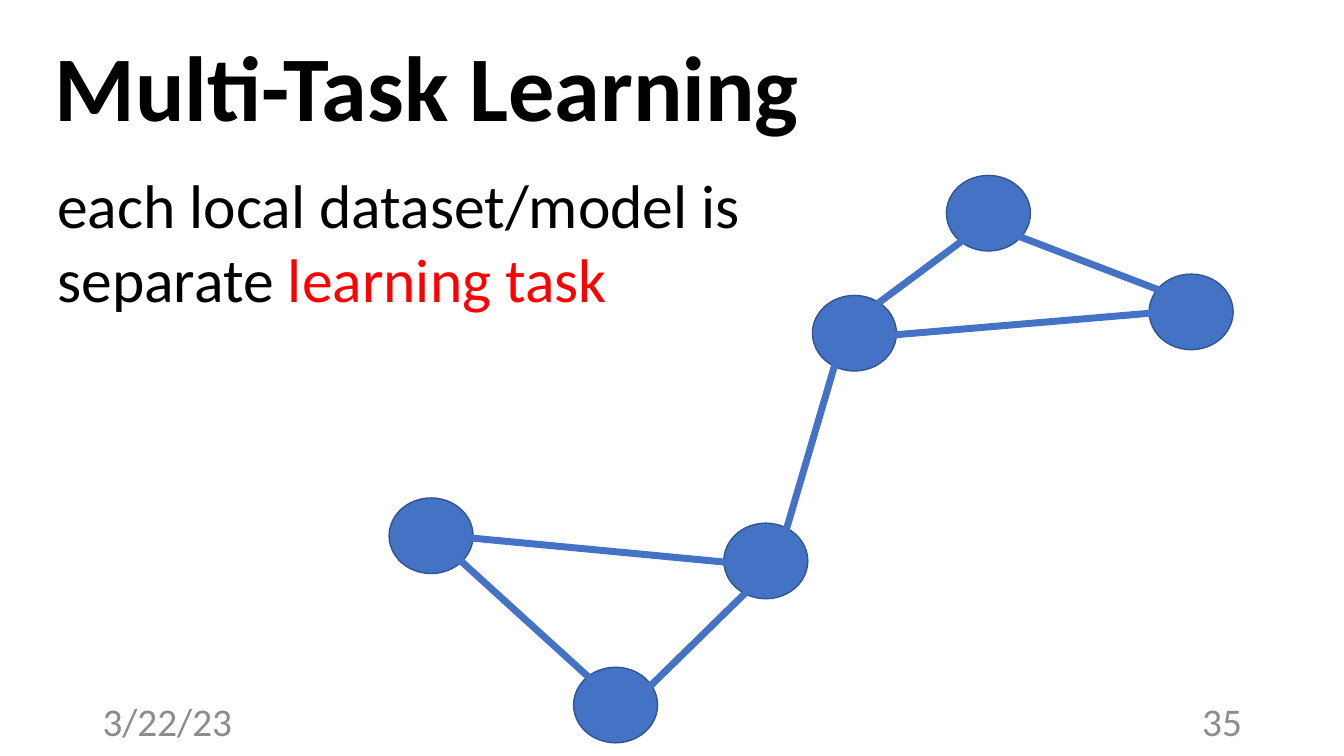
from typing import NamedTuple

from lxml import etree
from pptx import Presentation
from pptx.dml.color import RGBColor
from pptx.enum.shapes import MSO_CONNECTOR, MSO_SHAPE
from pptx.enum.text import MSO_ANCHOR, MSO_AUTO_SIZE, PP_ALIGN
from pptx.oxml.ns import qn
from pptx.util import Pt

ELLIPSE = MSO_SHAPE.OVAL
STRAIGHT = MSO_CONNECTOR.STRAIGHT
TOP, MIDDLE = MSO_ANCHOR.TOP, MSO_ANCHOR.MIDDLE
LEFT, RIGHT = PP_ALIGN.LEFT, PP_ALIGN.RIGHT
NO_AUTOFIT = MSO_AUTO_SIZE.NONE

FONT = "Calibri"
BLACK, RED, GREY = "000000", "FF0000", "8C8C8C"
BLUE, DARK_BLUE = "4472C4", "325491"
NODE_WIDTH, NODE_HEIGHT = 60, 54


class Frame(NamedTuple):
    left: float
    top: float
    width: float
    height: float


class Span(NamedTuple):
    text: str
    colour: str


class Node(NamedTuple):
    left: float
    top: float


class Edge(NamedTuple):
    start_x: float
    start_y: float
    end_x: float
    end_y: float


NODES = [
    Node(676, 125.3),
    Node(580.3, 211),
    Node(277.9, 355.7),
    Node(409.7, 476.6),
    Node(517, 373.7),
    Node(820.8, 195.8),
]

EDGES = [
    Edge(702.7, 160.6, 607.7, 231.1),
    Edge(557.3, 393.1, 604.8, 231.8),
    Edge(439.9, 514.1, 542.9, 413.3),
    Edge(308.2, 381.6, 542.9, 403.9),
    Edge(426.2, 488.9, 308.2, 381.6),
    Edge(853.9, 221, 607, 241.9),
    Edge(706.3, 160.6, 851, 216),
]


def colour(code: str) -> RGBColor:
    return RGBColor.from_string(code)


def write_text(box, frame: Frame, spans: list[Span], size: float,
               bold: bool = False, align=LEFT, anchor=TOP) -> None:
    """Place a text box or placeholder and fill its one paragraph."""
    box.left, box.top, box.width, box.height = map(Pt, frame)
    text_frame = box.text_frame
    text_frame.word_wrap = True
    text_frame.auto_size = NO_AUTOFIT
    text_frame.vertical_anchor = anchor
    para = text_frame.paragraphs[0]
    properties = para._p.get_or_add_pPr()
    properties.set("marL", "0")
    properties.set("indent", "0")
    etree.SubElement(properties, qn("a:buNone"))
    para.alignment = align
    para.space_before = Pt(0)
    for item in spans:
        span = para.add_run()
        span.text = item.text
        span.font.name = FONT
        span.font.size = Pt(size)
        span.font.bold = bold
        span.font.color.rgb = colour(item.colour)


def add_footer(page, frame: Frame, text: str, align=LEFT) -> None:
    box = page.shapes.add_textbox(*map(Pt, frame))
    write_text(box, frame, [Span(text, GREY)], 28, align=align, anchor=MIDDLE)


def add_node(page, node: Node) -> None:
    circle = page.shapes.add_shape(
        ELLIPSE, Pt(node.left), Pt(node.top), Pt(NODE_WIDTH), Pt(NODE_HEIGHT))
    circle.shadow.inherit = False
    circle.fill.solid()
    circle.fill.fore_color.rgb = colour(BLUE)
    circle.line.color.rgb = colour(DARK_BLUE)
    circle.line.width = Pt(1)


def add_edge(page, edge: Edge) -> None:
    link = page.shapes.add_connector(STRAIGHT, *map(Pt, edge))
    link.line.color.rgb = colour(BLUE)
    link.line.width = Pt(5)
    etree.SubElement(link._element.spPr, qn("a:effectLst"))


def main() -> None:
    deck = Presentation()
    deck.slide_width, deck.slide_height = Pt(960), Pt(540)
    page = deck.slides.add_slide(deck.slide_layouts[1])
    title, body = page.placeholders

    write_text(title, Frame(31.7, 17.3, 557.3, 87.1),
               [Span("Multi-Task Learning", BLACK)], 66, bold=True)
    write_text(body, Frame(33.8, 115.9, 583.9, 113.8),
               [Span("each local dataset/model is separate ", BLACK),
                Span("learning task", RED)], 44)
    for node in NODES:
        add_node(page, node)
    for edge in EDGES:
        add_edge(page, edge)
    add_footer(page, Frame(66.2, 500.4, 216, 28.8), "3/22/23")
    add_footer(page, Frame(678.2, 500.4, 216, 28.8), "35", RIGHT)

    deck.save("out.pptx")


if __name__ == "__main__":
    main()
